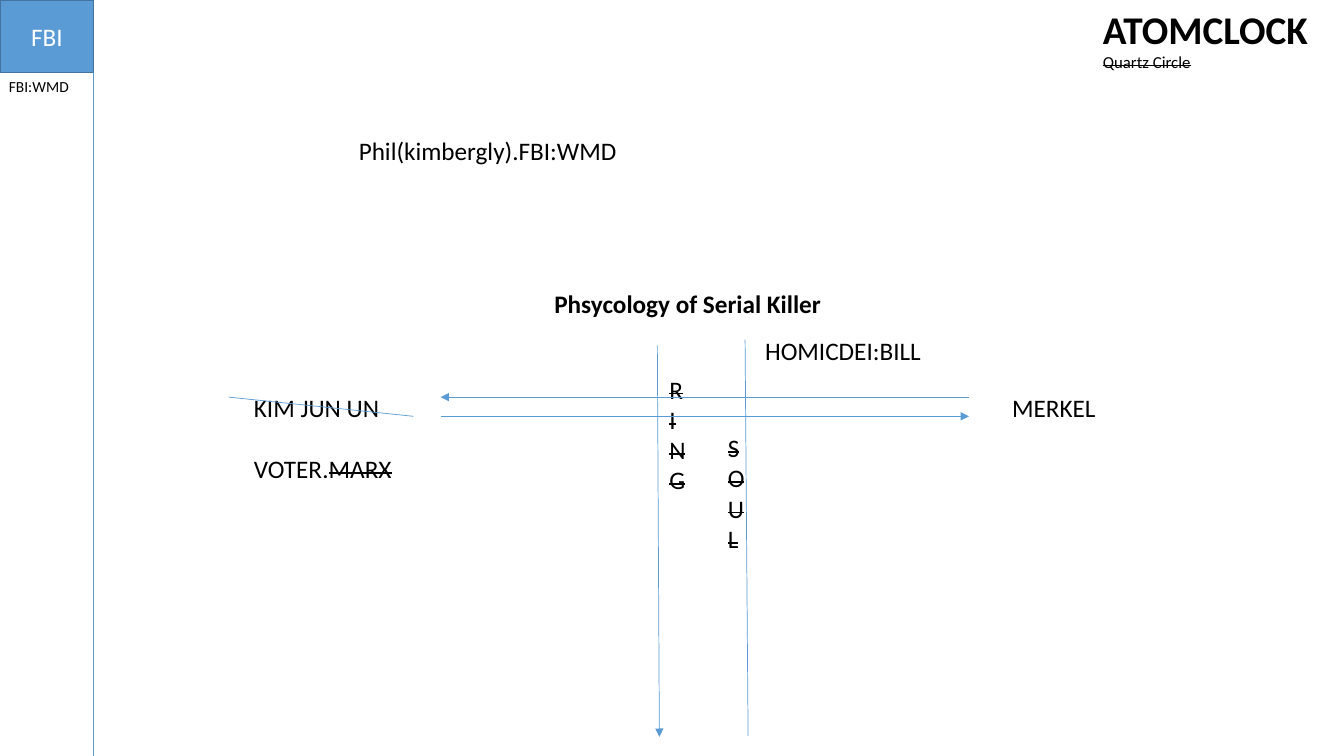
from pptx import Presentation, util as u
from pptx.dml.color import RGBColor
from pptx.enum import shapes, text
from pptx.oxml.ns import qn
from lxml import etree


def rgb(value):
    return RGBColor.from_string(value)


class Board:
    """Draws styled boxes, labels and lines on one slide."""

    FONT, INK, BLUE, EDGE, WHITE = "Calibri", "000000", "5B9BD5", "43739E", "FFFFFF"

    def __init__(self, s):
        self.s = s

    def run(self, p, words, color=INK, strike=False, **fmt):
        r = p.add_run()
        r.text = words
        r.font.color.rgb = rgb(color)
        for name, value in {"name": self.FONT, "size": u.Pt(18), **fmt}.items():
            setattr(r.font, name, value)
        if strike:
            r._r.get_or_add_rPr().set("strike", "sngStrike")

    def box(self, x, y, w, h, words):
        sp = self.s.shapes.add_shape(shapes.MSO_SHAPE.RECTANGLE, *map(u.Inches, (x, y, w, h)))
        sp.shadow.inherit = False
        sp.fill.solid()
        sp.fill.fore_color.rgb = rgb(self.BLUE)
        sp.line.color.rgb = rgb(self.EDGE)
        sp.line.width = u.Pt(1)
        tf = sp.text_frame
        tf.vertical_anchor = text.MSO_ANCHOR.MIDDLE
        p = tf.paragraphs[0]
        p.alignment = text.PP_ALIGN.CENTER
        self.run(p, words, self.WHITE)

    def label(self, x, y, w, h, *lines, gap=0):
        sp = self.s.shapes.add_textbox(*map(u.Inches, (x, y, w, h)))
        tf = sp.text_frame
        tf.word_wrap = False
        tf.auto_size = text.MSO_AUTO_SIZE.SHAPE_TO_FIT_TEXT
        for i, runs in enumerate(lines):
            p = tf.add_paragraph() if i else tf.paragraphs[0]
            if i and gap:
                p.space_before = u.Pt(gap)
            for words, fmt in runs:
                self.run(p, words, **fmt)

    def column(self, x, y, w, h, word):
        self.label(x, y, w, h, *([(letter, {"strike": True})] for letter in word))

    def line(self, x1, y1, x2, y2, arrow=False):
        c = self.s.shapes.add_connector(
            shapes.MSO_CONNECTOR.STRAIGHT, *map(u.Inches, (x1, y1, x2, y2)))
        c.line.color.rgb = rgb(self.BLUE)
        c.line.width = u.Pt(0.5)
        if arrow:
            etree.SubElement(c.line._get_or_add_ln(), qn("a:tailEnd"), type="triangle")
        etree.SubElement(c._element.spPr, qn("a:effectLst"))


def main():
    prs = Presentation()
    prs.slide_width, prs.slide_height = u.Inches(13.33), u.Inches(7.5)
    board = Board(prs.slides.add_slide(prs.slide_layouts[6]))

    board.box(0, 0, 0.93, 0.72, "FBI")
    board.line(0.93, 7.5, 0.93, 0.72)
    board.label(5.4, 2.81, 2.87, 0.4, [("Phsycology of Serial Killer", {"bold": True})])
    board.label(3.46, 1.29, 2.79, 0.4, [("Phil(kimbergly).FBI:WMD", {})])
    board.label(-0.01, 0.72, 0.8, 0.29, [("FBI:WMD", {"size": u.Pt(11)})])
    board.label(10.84, 0, 2.26, 0.77,
                [("ATOMCLOCK", {"size": u.Pt(28), "bold": True})],
                [("Quartz Circle", {"size": u.Pt(12), "strike": True})])
    board.label(2.42, 3.84, 1.58, 1.01, [("KIM JUN UN", {})],
                [("VOTER.", {}), ("MARX", {"strike": True})], gap=22)
    board.line(2.27, 3.94, 4.1, 4.13)
    board.label(9.94, 3.84, 1.04, 0.4, [("MERKEL", {})])
    board.line(6.52, 3.43, 6.54, 7.31, arrow=True)
    board.line(7.39, 3.37, 7.42, 7.3)
    board.column(7.12, 4.24, 0.37, 1.31, "SOUL")
    board.column(6.54, 3.66, 0.36, 1.31, "RING")
    board.line(9.61, 3.94, 4.37, 3.94, arrow=True)
    board.line(4.37, 4.13, 9.61, 4.13, arrow=True)
    board.label(7.49, 3.28, 1.76, 0.4, [("HOMICDEI:BILL", {})])

    prs.save("out.pptx")


if __name__ == "__main__":
    main()
